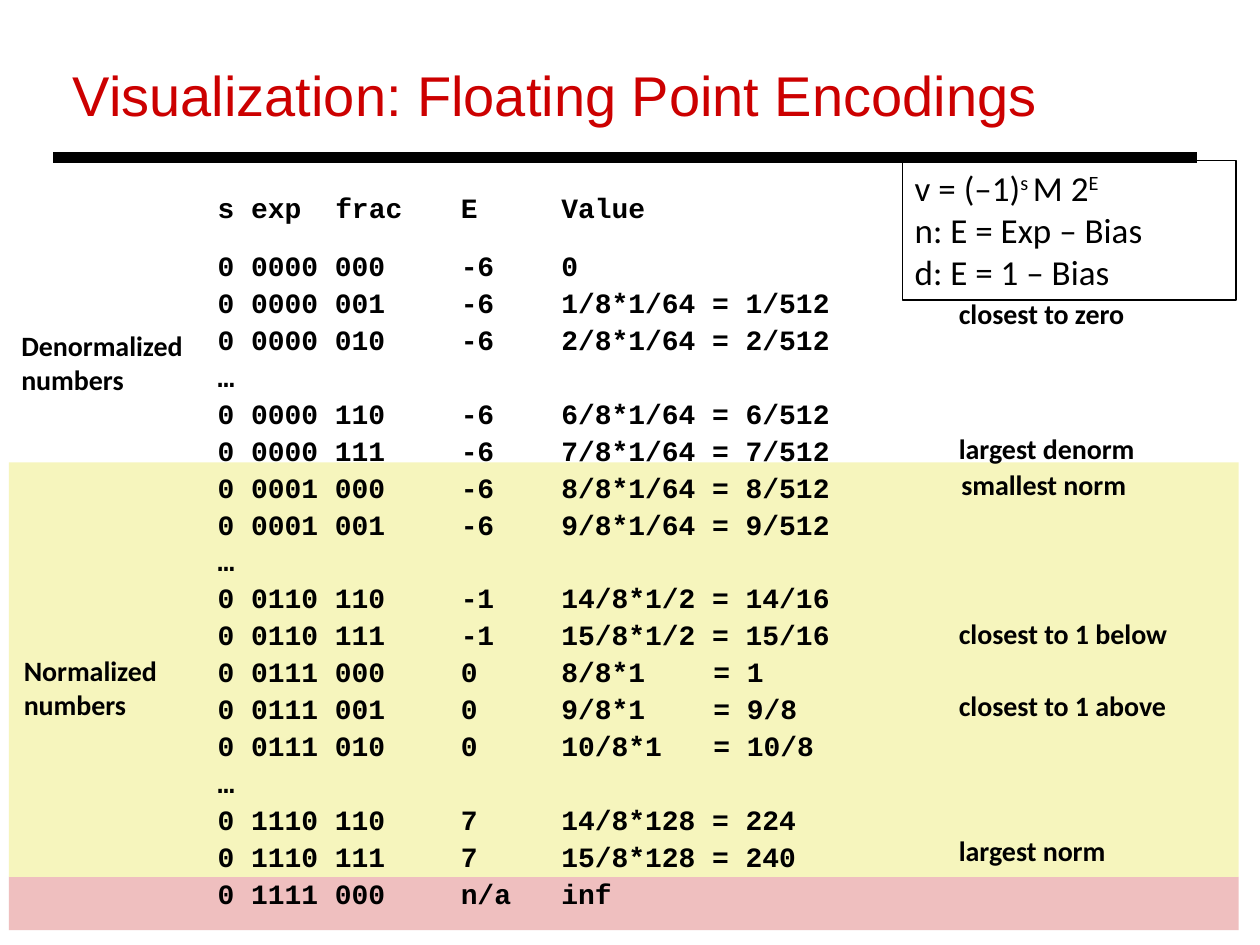
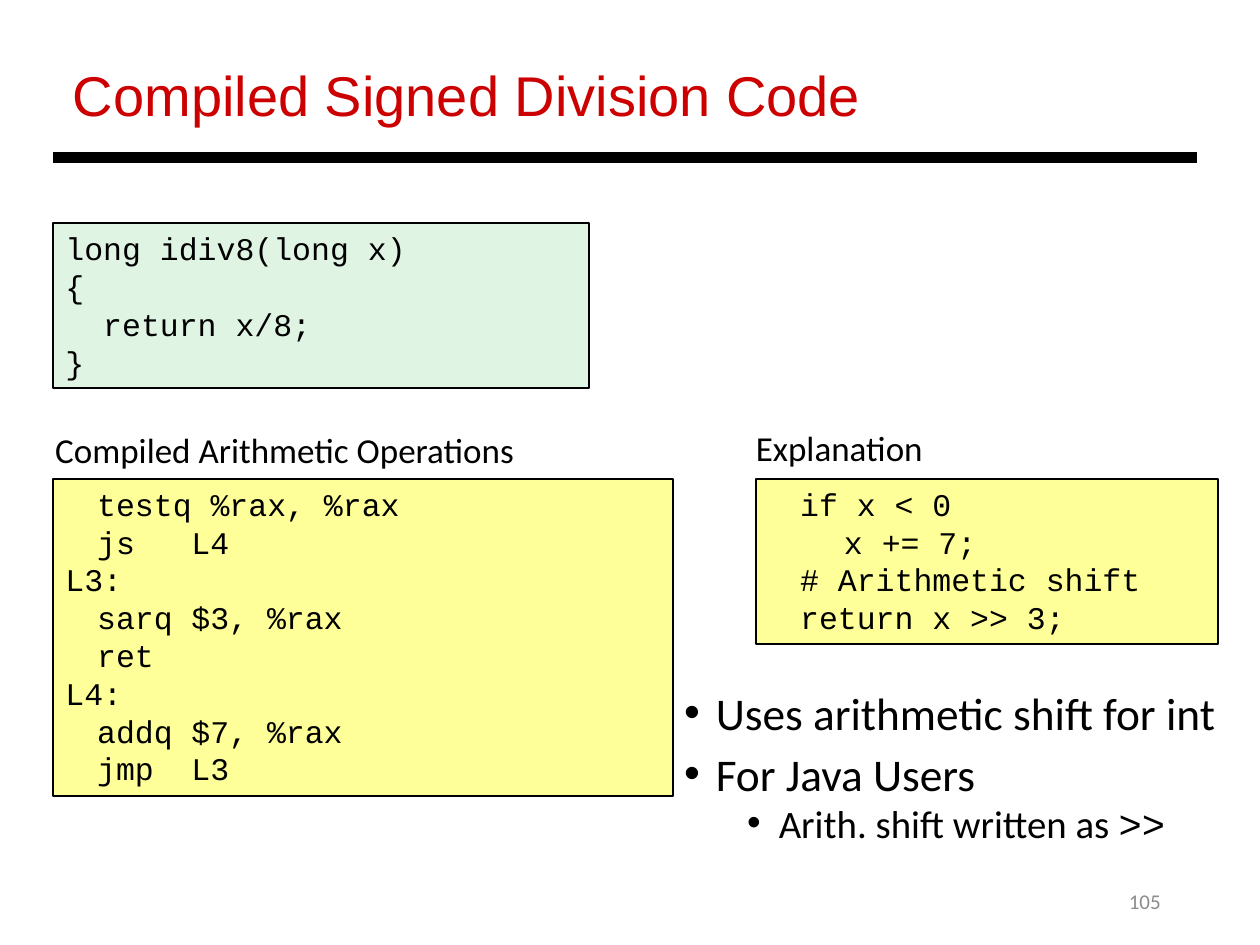
from dataclasses import dataclass

from lxml import etree
from pptx import Presentation
from pptx.dml.color import RGBColor
from pptx.enum import shapes, text
from pptx.oxml import ns
from pptx.util import Cm, Pt


@dataclass(frozen=True)
class Theme:
    title_font: str = "Arial"
    body_font: str = "Calibri"
    code_font: str = "Courier New"
    title: str = "CC0000"
    ink: str = "000000"
    muted: str = "8C8C8C"
    special_band: str = "EFBFBF"
    normalized_band: str = "F6F5BD"
    source_fill: str = "E0F4E3"
    assembly_fill: str = "FFFF99"
    title_size: float = 32
    bullet_size: float = 25.9
    sub_bullet_size: float = 22.2
    caption_size: float = 20
    code_size: float = 18
    label_size: float = 16
    number_size: float = 12


ENCODINGS = """s exp\tfrac\tE\tValue
0 0000 000\t-6\t0
0 0000 001\t-6\t1/8*1/64 = 1/512
0 0000 010\t-6\t2/8*1/64 = 2/512
…
0 0000 110\t-6\t6/8*1/64 = 6/512
0 0000 111\t-6\t7/8*1/64 = 7/512
0 0001 000\t-6\t8/8*1/64 = 8/512
0 0001 001\t-6\t9/8*1/64 = 9/512
…
0 0110 110\t-1\t14/8*1/2 = 14/16
0 0110 111\t-1\t15/8*1/2 = 15/16
0 0111 000\t0\t8/8*1\t= 1
0 0111 001\t0\t9/8*1\t= 9/8
0 0111 010\t0\t10/8*1\t= 10/8
…
0 1110 110\t7\t14/8*128 = 224
0 1110 111\t7\t15/8*128 = 240
0 1111 000\tn/a\tinf"""
ENCODING_TABS = (2.37, 4.9, 6.93, 9.99)

ROW_LABELS = [  # left, top, width, height, text
    (19.23, 5.87, 4.22, 0.89, "closest to zero"),
    (19.23, 8.61, 4.34, 0.89, "largest denorm"),
    (19.28, 9.32, 4.09, 0.89, "smallest norm"),
    (19.23, 12.32, 5.13, 0.89, "closest to 1 below"),
    (19.23, 13.79, 5.16, 0.89, "closest to 1 above"),
    (19.23, 16.71, 3.66, 0.89, "largest norm"),
    (0.33, 6.53, 3.94, 1.57, "Denormalized\nnumbers"),
    (0.38, 13.08, 3.28, 1.57, "Normalized\nnumbers"),
]

IDIV8 = """long idiv8(long x)
{
  return x/8;
}"""
ASSEMBLY = """\ttestq %rax, %rax
\tjs\tL4
L3:
\tsarq\t$3, %rax
\tret
L4:
\taddq\t$7, %rax
\tjmp\tL3"""
EXPLANATION = """\tif x < 0
    x += 7;
\t# Arithmetic shift
\treturn x >> 3;"""
CODE_TABS = (0.64, 2.54)


class Deck:
    def __init__(self, theme):
        self.theme = theme
        self.presentation = Presentation()
        self.presentation.slide_width = Cm(25.4)
        self.presentation.slide_height = Cm(19.05)
        self.slide = None

    def new_slide(self, title, title_width):
        """Add a slide with the shared title and the rule below it."""
        t = self.theme
        blank = self.presentation.slide_layouts[6]
        self.slide = self.presentation.slides.add_slide(blank)
        self.text((1.22, 1.09, title_width, 1.63), title, t.title_size,
                  font=t.title_font, color=t.title, wrap=False, grow=True)
        rule = self.slide.shapes.add_connector(
            shapes.MSO_CONNECTOR.STRAIGHT, Cm(1.07), Cm(3.18), Cm(24.13), Cm(3.18))
        rule.line.color.rgb = RGBColor.from_string(t.ink)
        rule.line.width = Pt(6)
        etree.SubElement(rule._element.spPr, ns.qn("a:effectLst"))

    def style_run(self, run, size, font=None, color=None, bold=False):
        run.font.size = Pt(size)
        run.font.name = font or self.theme.body_font
        run.font.color.rgb = RGBColor.from_string(color or self.theme.ink)
        run.font.bold = bold

    def fill_frame(self, frame, content, size, font=None, color=None, bold=False,
                   tabs=(), wrap=True, grow=False, inset=None, align=None):
        frame.word_wrap = wrap
        frame.auto_size = (text.MSO_AUTO_SIZE.SHAPE_TO_FIT_TEXT if grow
                           else text.MSO_AUTO_SIZE.NONE)
        frame.vertical_anchor = text.MSO_ANCHOR.TOP
        if inset is not None:
            frame.margin_left = frame.margin_right = Cm(inset)
            frame.margin_top = frame.margin_bottom = Cm(inset)
        frame.text = content
        for paragraph in frame.paragraphs:
            if tabs:
                self.set_tabs(paragraph, tabs)
            paragraph.alignment = align or text.PP_ALIGN.LEFT
            for run in paragraph.runs:
                self.style_run(run, size, font, color, bold)
        return frame

    def set_tabs(self, paragraph, stops):
        properties = paragraph._p.get_or_add_pPr()
        tab_list = etree.SubElement(properties, ns.qn("a:tabLst"))
        for stop in stops:
            etree.SubElement(tab_list, ns.qn("a:tab"), pos=str(int(Cm(stop))), algn="l")

    def text(self, place, content, size, **style):
        box = self.slide.shapes.add_textbox(*map(Cm, place))
        return self.fill_frame(box.text_frame, content, size, **style)

    def rectangle(self, place, fill=None, line_width=None):
        box = self.slide.shapes.add_shape(
            shapes.MSO_SHAPE.RECTANGLE, *map(Cm, place))
        box.shadow.inherit = False
        if fill:
            box.fill.solid()
            box.fill.fore_color.rgb = RGBColor.from_string(fill)
        else:
            box.fill.background()
        if line_width:
            box.line.color.rgb = RGBColor.from_string(self.theme.ink)
            box.line.width = Pt(line_width)
        else:
            box.line.fill.background()
        return box

    def code(self, place, content, fill, tabs=()):
        box = self.rectangle(place, fill, line_width=1)
        self.fill_frame(box.text_frame, content, self.theme.code_size,
                        font=self.theme.code_font, tabs=tabs, grow=True)

    def label(self, place, content):
        self.text(place, content, self.theme.label_size, bold=True,
                  wrap=False, grow=True, inset=0.1)

    def caption(self, place, content):
        self.text(place, content, self.theme.caption_size, wrap=False, grow=True,
                  inset=0.13, align=text.PP_ALIGN.CENTER)

    def formula(self, place, content, exponents):
        """Write formula lines; the first is extended by (text, raised) parts."""
        box = self.rectangle(place, line_width=0.75)
        size = self.theme.caption_size
        frame = self.fill_frame(box.text_frame, content, size, grow=True)
        for part, raised in exponents:
            run = frame.paragraphs[0].add_run()
            run.text = part
            self.style_run(run, size)
            if raised:
                run._r.get_or_add_rPr().set("baseline", "32000")

    def bullets(self, place, items):
        """Write (level, text, code ending) items as a bulleted list."""
        t = self.theme
        frame = self.text(place, "\n".join(item[1] for item in items), t.bullet_size)
        for index, (level, _, ending) in enumerate(items):
            paragraph = frame.paragraphs[index]
            size = t.sub_bullet_size if level else t.bullet_size
            properties = paragraph._p.get_or_add_pPr()
            properties.set("marL", str(int(Cm(0.64 + 1.27 * level))))
            properties.set("indent", str(int(Cm(-0.64))))
            etree.SubElement(properties, ns.qn("a:buFont"), typeface=t.title_font)
            etree.SubElement(properties, ns.qn("a:buChar"), char="•")
            paragraph.level = level
            paragraph.line_spacing = 0.8
            if index:
                paragraph.space_before = Pt(5 if level else 10)
            paragraph.runs[0].font.size = Pt(size)
            if ending:
                run = paragraph.add_run()
                run.text = ending
                self.style_run(run, size, t.code_font)

    def slide_number(self, number):
        frame = self.text((17.93, 17.65, 5.72, 1.02), number, self.theme.number_size,
                          color=self.theme.muted, align=text.PP_ALIGN.RIGHT)
        frame.vertical_anchor = text.MSO_ANCHOR.MIDDLE


def add_encodings(deck):
    t = deck.theme
    deck.new_slide("Visualization: Floating Point Encodings", 20.12)
    deck.rectangle((0.18, 17.68, 24.79, 1.07), t.special_band)
    deck.rectangle((0.18, 9.32, 24.79, 8.36), t.normalized_band)
    rows = deck.text((4.39, 3.78, 12.9, 15.44), ENCODINGS, t.label_size,
                     font=t.code_font, bold=True, tabs=ENCODING_TABS, inset=0)
    for row in rows.paragraphs:
        row.line_spacing = 1.1
    rows.paragraphs[1].space_before = Pt(12)
    for *place, content in ROW_LABELS:
        deck.label(place, content)
    deck.formula((18.19, 3.23, 6.73, 2.82),
                 "v = (–1)\nn: E = Exp – Bias\nd: E = 1 – Bias",
                 [("s ", True), ("M 2", False), ("E", True)])


def add_division(deck):
    t = deck.theme
    deck.new_slide("Compiled Signed Division Code", 16.54)
    deck.slide_number("105")
    deck.code((1.07, 9.65, 12.5, 6.4), ASSEMBLY, t.assembly_fill, CODE_TABS)
    deck.bullets((13.54, 13.89, 11.86, 3.3), [
        (0, "Uses arithmetic shift for int", ""),
        (0, "For Java Users", ""),
        (1, "Arith. shift written as ", ">>"),
    ])
    deck.code((1.07, 4.5, 10.8, 3.33), IDIV8, t.source_fill)
    deck.code((15.24, 9.65, 9.32, 3.33), EXPLANATION, t.assembly_fill, CODE_TABS)
    deck.caption((0.84, 8.51, 9.8, 1.12), "Compiled Arithmetic Operations")
    deck.caption((15.04, 8.46, 3.76, 1.12), "Explanation")


def main():
    deck = Deck(Theme())
    add_encodings(deck)
    add_division(deck)
    deck.presentation.save("out.pptx")


if __name__ == "__main__":
    main()
